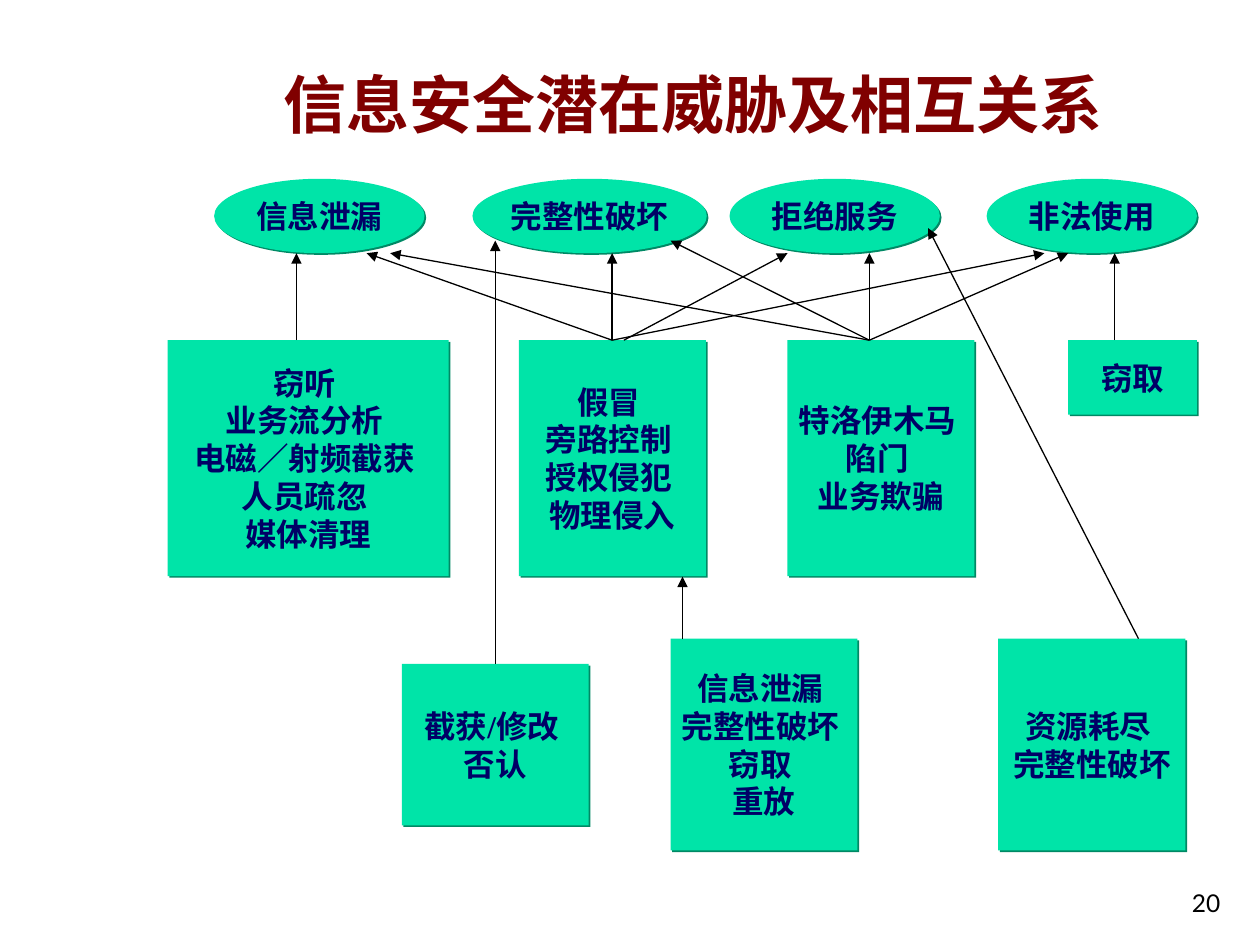
"""Build the slide on information security threats and how they relate."""
from dataclasses import dataclass

from lxml import etree
from pptx import Presentation, util as u
from pptx.dml.color import RGBColor
from pptx.enum import shapes, text
from pptx.oxml import ns

HUES = {"title": "800000", "fill": "00E4A8", "shade": "008965",
        "label": "000066", "line": "000000"}
OVAL = shapes.MSO_SHAPE.OVAL
RECT = shapes.MSO_SHAPE.RECTANGLE
MID = text.PP_ALIGN.CENTER
RIGHT = text.PP_ALIGN.RIGHT
TOP, BASE = 102.2, 144.7
ROW, LOW = 194.4, 365


@dataclass
class Node:
    label: str
    x: float
    y: float
    w: float
    h: float
    kind: int = RECT


@dataclass
class Fan:
    x: float
    y: float
    ends: list[tuple[float, float]]


@dataclass
class Note:
    label: str
    x: float
    y: float
    w: float
    h: float
    size: float
    font: str
    hue: str
    bold: bool
    align: int


GOALS = [("信息泄漏", 122.4, 120.2), ("完整性破坏", 270, 133.9),
         ("拒绝服务", 416.9, 120.2), ("非法使用", 563.8, 120.2)]

NODES = [Node(name, x, TOP, w, 42.5, OVAL) for name, x, w in GOALS] + [
    Node("窃听 \n业务流分析 \n电磁／射频截获 \n人员疏忽 \n媒体清理",
         95.8, ROW, 160.6, 134.8),
    Node("假冒 \n旁路控制 \n授权侵犯 \n物理侵入", 296.6, ROW, 106.8, 134.8),
    Node("特洛伊木马 \n陷门 \n业务欺骗", 450, ROW, 106.8, 134.8),
    Node("窃取", 610.4, ROW, 73.6, 42.5),
    Node("截获/修改 \n否认", 229.6, 379.4, 106.8, 92.2),
    Node("信息泄漏 \n完整性破坏 \n窃取 \n重放", 383.2, LOW, 106.8, 121),
    Node("资源耗尽 \n完整性破坏", 570.4, LOW, 107, 121),
]

FANS = [
    Fan(169.4, ROW, [(169.4, BASE)]),
    Fan(283, 379.4, [(283, 137.5)]),
    Fan(349.8, ROW, [(209.5, BASE), (349.8, BASE), (596.8, BASE)]),
    Fan(356.5, ROW, [(450, BASE)]),
    Fan(390, LOW, [(390, 329.5)]),
    Fan(650.6, LOW, [(530.4, 130.4)]),
    Fan(496.8, ROW, [(223, BASE), (383.2, 137.5), (496.8, BASE), (610.4, BASE)]),
    Fan(637, ROW, [(637, BASE)]),
]

NOTES = [
    Note("信息安全潜在威胁及相互关系", 126, 30, 540, 54, 36, "Arial", "title", True, MID),
    Note("20", 554.4, 491.8, 150, 36, 14, "Lato", "line", False, RIGHT),
]


def rgb(hue: str) -> RGBColor:
    """Return the named colour."""
    return RGBColor.from_string(HUES[hue])


def write(frame, label: str, size: float, font: str, hue: str, bold: bool, align: int) -> None:
    """Fill a text frame and format its runs."""
    frame.text = label
    for para in frame.paragraphs:
        para.alignment = align
        for run in para.runs:
            run.font.size = u.Pt(size)
            run.font.name = font
            run.font.bold = bold
            run.font.color.rgb = rgb(hue)


def shade(shape) -> None:
    """Give a shape a hard shadow to the lower right."""
    shape.shadow.inherit = False
    effects = shape.element.spPr.find(ns.qn("a:effectLst"))
    cast = etree.SubElement(effects, ns.qn("a:outerShdw"), dist=str(u.Pt(1.4)),
                            dir="2700000", algn="ctr", rotWithShape="0")
    etree.SubElement(cast, ns.qn("a:srgbClr"), val=HUES["shade"])


def draw_node(slide, node: Node) -> None:
    """Draw a labelled oval or box."""
    shape = slide.shapes.add_shape(node.kind, u.Pt(node.x), u.Pt(node.y),
                                   u.Pt(node.w), u.Pt(node.h))
    shape.fill.solid()
    shape.fill.fore_color.rgb = rgb("fill")
    shape.line.fill.background()
    shade(shape)
    frame = shape.text_frame
    frame.word_wrap = False
    frame.vertical_anchor = text.MSO_ANCHOR.MIDDLE
    write(frame, node.label, 18, "Times New Roman", "label", True, MID)


def draw_fan(slide, fan: Fan) -> None:
    """Draw the arrows that leave one point."""
    for x, y in fan.ends:
        arrow = slide.shapes.add_connector(shapes.MSO_CONNECTOR.STRAIGHT, u.Pt(fan.x),
                                           u.Pt(fan.y), u.Pt(x), u.Pt(y))
        arrow.line.width = u.Pt(0.75)
        arrow.line.color.rgb = rgb("line")
        props = arrow.element.spPr
        etree.SubElement(props.find(ns.qn("a:ln")), ns.qn("a:tailEnd"), type="triangle")
        etree.SubElement(props, ns.qn("a:effectLst"))


def draw_note(slide, note: Note) -> None:
    """Draw a plain text box."""
    box = slide.shapes.add_textbox(u.Pt(note.x), u.Pt(note.y), u.Pt(note.w), u.Pt(note.h))
    frame = box.text_frame
    frame.word_wrap = True
    frame.vertical_anchor = text.MSO_ANCHOR.BOTTOM
    write(frame, note.label, note.size, note.font, note.hue, note.bold, note.align)


def main() -> None:
    """Build and save the deck."""
    deck = Presentation()
    deck.slide_width, deck.slide_height = u.Pt(720), u.Pt(540)
    slide = deck.slides.add_slide(deck.slide_layouts[6])
    title, number = NOTES
    draw_note(slide, title)
    for node in NODES:
        draw_node(slide, node)
    for fan in FANS:
        draw_fan(slide, fan)
    draw_note(slide, number)
    deck.save("out.pptx")


if __name__ == "__main__":
    main()
